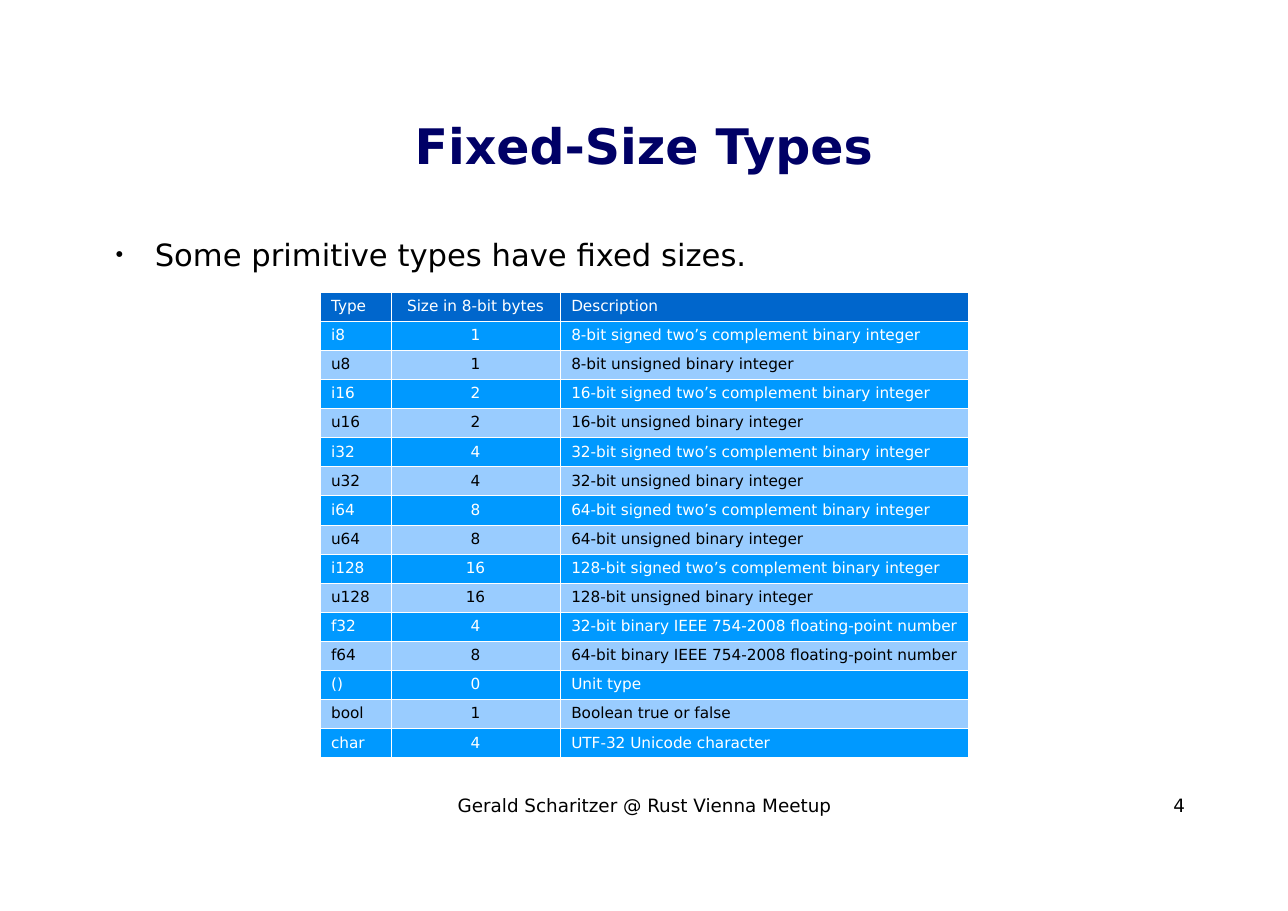
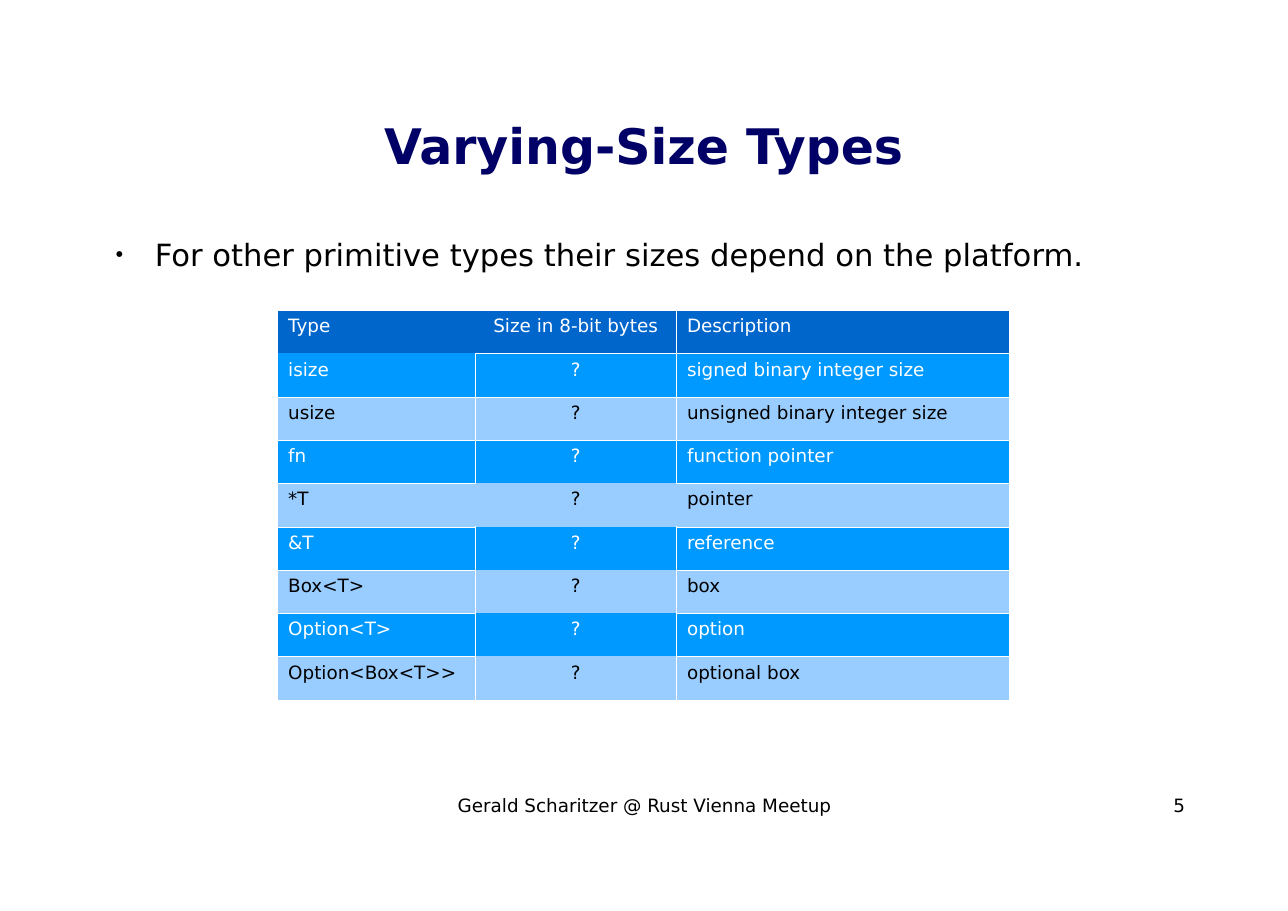
from dataclasses import dataclass

from lxml.etree import SubElement
from pptx import Presentation
from pptx.dml.color import RGBColor
from pptx.enum.text import MSO_ANCHOR, PP_ALIGN
from pptx.oxml.ns import qn
from pptx.slide import Slide
from pptx.table import _Cell
from pptx.text.text import _Paragraph
from pptx.util import Inches, Pt

SLIDE_WIDTH, SLIDE_HEIGHT = Inches(11.69), Inches(8.27)
FONT = "DejaVu Sans"
BLACK, WHITE, NAVY = "000000", "FFFFFF", "000066"
HEADER_BLUE, STRONG_BLUE, PALE_BLUE = "0066CC", "0099FF", "99CCFF"
PLAIN_TABLE_STYLE = "{2D5ABB26-0587-4C30-8999-92F81FD0307C}"
BORDER_WIDTH = Pt(0.06)
FOOTER = "Gerald Scharitzer @ Rust Vienna Meetup"
HEADINGS = ("Type", "Size in 8-bit bytes", "Description")

Row = tuple[str, str, str]
Position = tuple[int, int]


@dataclass(frozen=True)
class Box:
    """Place and size in percent of the slide."""
    left: float
    top: float
    width: float
    height: float


@dataclass(frozen=True)
class TypeTable:
    """Lengths in percent; hidden edges name the cell (row, column) they lead into."""
    left: float
    top: float
    height: float
    columns: tuple[float, float, float]
    font_size: int
    rows: list[Row]
    hidden_tops: frozenset[Position] = frozenset()
    hidden_lefts: frozenset[Position] = frozenset()


@dataclass(frozen=True)
class Page:
    number: int
    title: str
    statement: str
    table: TypeTable


TITLE_BOX = Box(8, 8.34, 84, 15.11)
BODY_BOX = Box(8, 25.88, 84, 52.48)
FOOTER_BOX = Box(35.25, 87.18, 29.6, 6.29)
NUMBER_BOX = Box(70.25, 87.18, 21.75, 6.29)

INTEGER_ROWS = [
    (f"{prefix}{bits}", str(bits // 8), f"{bits}-bit {meaning} binary integer")
    for bits in (8, 16, 32, 64, 128)
    for prefix, meaning in (("i", "signed two’s complement"), ("u", "unsigned"))
]
FLOAT_ROWS = [
    (f"f{bits}", str(bits // 8), f"{bits}-bit binary IEEE 754-2008 floating-point number")
    for bits in (32, 64)
]
OTHER_ROWS = [
    ("()", "0", "Unit type"),
    ("bool", "1", "Boolean true or false"),
    ("char", "4", "UTF-32 Unicode character"),
]
VARYING_ROWS = [
    (name, "?", description)
    for name, description in (
        ("isize", "signed binary integer size"),
        ("usize", "unsigned binary integer size"),
        ("fn", "function pointer"),
        ("*T", "pointer"),
        ("&T", "reference"),
        ("Box<T>", "box"),
        ("Option<T>", "option"),
        ("Option<Box<T>>", "optional box"),
    )
]

PAGES = [
    Page(4, "Fixed-Size Types", "Some primitive types have fixed sizes.",
         TypeTable(24.85, 32.04, 51.15, (5.48, 13.17, 31.7), 10,
                   INTEGER_ROWS + FLOAT_ROWS + OTHER_ROWS)),
    Page(5, "Varying-Size Types",
         "For other primitive types their sizes depend on the platform.",
         TypeTable(21.52, 34.05, 42.8, (15.4, 15.57, 25.83), 12, VARYING_ROWS,
                   hidden_tops=frozenset({(1, 0), *((row, 1) for row in range(4, 9))}),
                   hidden_lefts=frozenset({(0, 1), (4, 1), (4, 2)}))),
]


def across(percent: float) -> int:
    return round(SLIDE_WIDTH * percent / 100)


def down(percent: float) -> int:
    return round(SLIDE_HEIGHT * percent / 100)


def color(value: str) -> RGBColor:
    return RGBColor.from_string(value)


def write(paragraph: _Paragraph, text: str, *, size: float, text_color: str = BLACK,
          bold: bool = False, align: PP_ALIGN = PP_ALIGN.LEFT) -> None:
    paragraph.alignment = align
    run = paragraph.add_run()
    run.text = text
    run.font.name = FONT
    run.font.size = Pt(size)
    run.font.bold = bold
    run.font.color.rgb = color(text_color)


def add_bullet(paragraph: _Paragraph) -> None:
    properties = paragraph._p.get_or_add_pPr()
    properties.set("marL", str(Inches(0.47)))
    properties.set("indent", str(Inches(-0.35)))
    bullet_color = SubElement(properties, qn("a:buClr"))
    SubElement(bullet_color, qn("a:srgbClr"), val=BLACK)
    SubElement(properties, qn("a:buSzPct"), val="25000")
    SubElement(properties, qn("a:buFont"), typeface=FONT)
    SubElement(properties, qn("a:buChar"), char="●")


def add_text(slide: Slide, box: Box, text: str, *, size: float, text_color: str = BLACK,
             bold: bool = False, align: PP_ALIGN = PP_ALIGN.LEFT,
             anchor: MSO_ANCHOR = MSO_ANCHOR.TOP, bullet: bool = False) -> None:
    shape = slide.shapes.add_textbox(across(box.left), down(box.top),
                                     across(box.width), down(box.height))
    frame = shape.text_frame
    frame.word_wrap = True
    frame.vertical_anchor = anchor
    frame.margin_left = frame.margin_right = frame.margin_top = frame.margin_bottom = 0
    paragraph = frame.paragraphs[0]
    if bullet:
        add_bullet(paragraph)
    write(paragraph, text, size=size, text_color=text_color, bold=bold, align=align)


def set_borders(cell: _Cell, hidden: dict[str, bool]) -> None:
    """Draw the four edges in the order the file format asks for."""
    properties = cell._tc.get_or_add_tcPr()
    for side in ("L", "R", "T", "B"):
        line = SubElement(properties, qn(f"a:ln{side}"), w=str(BORDER_WIDTH))
        if hidden[side]:
            SubElement(line, qn("a:noFill"))
        else:
            fill = SubElement(line, qn("a:solidFill"))
            SubElement(fill, qn("a:srgbClr"), val=WHITE)


def set_margins(cell: _Cell, centered: bool) -> None:
    """Keep the right and bottom margins tight so that each text fits on one line."""
    cell.margin_left = Inches(0.1)
    cell.margin_right = Inches(0.1 if centered else 0.05)
    cell.margin_top = Inches(0.05)
    cell.margin_bottom = Inches(0.04)


def row_colors(row: int) -> tuple[str, str]:
    """Fill and text colour of a row."""
    if row == 0:
        return HEADER_BLUE, WHITE
    return (STRONG_BLUE, WHITE) if row % 2 else (PALE_BLUE, BLACK)


def add_type_table(slide: Slide, layout: TypeTable) -> None:
    rows = [HEADINGS, *layout.rows]
    table = slide.shapes.add_table(
        len(rows), len(HEADINGS), across(layout.left), down(layout.top),
        across(sum(layout.columns)), down(layout.height)).table
    table.first_row = table.horz_banding = False
    table._tbl.tblPr.find(qn("a:tableStyleId")).text = PLAIN_TABLE_STYLE
    for column, width in zip(table.columns, layout.columns):
        column.width = across(width)
    for row, texts in enumerate(rows):
        table.rows[row].height = down(layout.height / len(rows))
        fill_color, text_color = row_colors(row)
        for column, text in enumerate(texts):
            cell = table.cell(row, column)
            centered = column == 1
            set_borders(cell, {
                "L": (row, column) in layout.hidden_lefts,
                "R": (row, column + 1) in layout.hidden_lefts,
                "T": (row, column) in layout.hidden_tops,
                "B": (row + 1, column) in layout.hidden_tops,
            })
            set_margins(cell, centered)
            cell.fill.solid()
            cell.fill.fore_color.rgb = color(fill_color)
            write(cell.text_frame.paragraphs[0], text, size=layout.font_size,
                  text_color=text_color,
                  align=PP_ALIGN.CENTER if centered else PP_ALIGN.LEFT)


def main() -> None:
    presentation = Presentation()
    presentation.slide_width, presentation.slide_height = SLIDE_WIDTH, SLIDE_HEIGHT
    blank_layout = presentation.slide_layouts[6]
    for page in PAGES:
        slide = presentation.slides.add_slide(blank_layout)
        add_text(slide, TITLE_BOX, page.title, size=32, text_color=NAVY, bold=True,
                 align=PP_ALIGN.CENTER, anchor=MSO_ANCHOR.MIDDLE)
        add_text(slide, BODY_BOX, page.statement, size=20, bullet=True)
        add_type_table(slide, page.table)
        add_text(slide, FOOTER_BOX, FOOTER, size=12, align=PP_ALIGN.CENTER)
        add_text(slide, NUMBER_BOX, str(page.number), size=12, align=PP_ALIGN.RIGHT)
    presentation.save("out.pptx")


if __name__ == "__main__":
    main()
